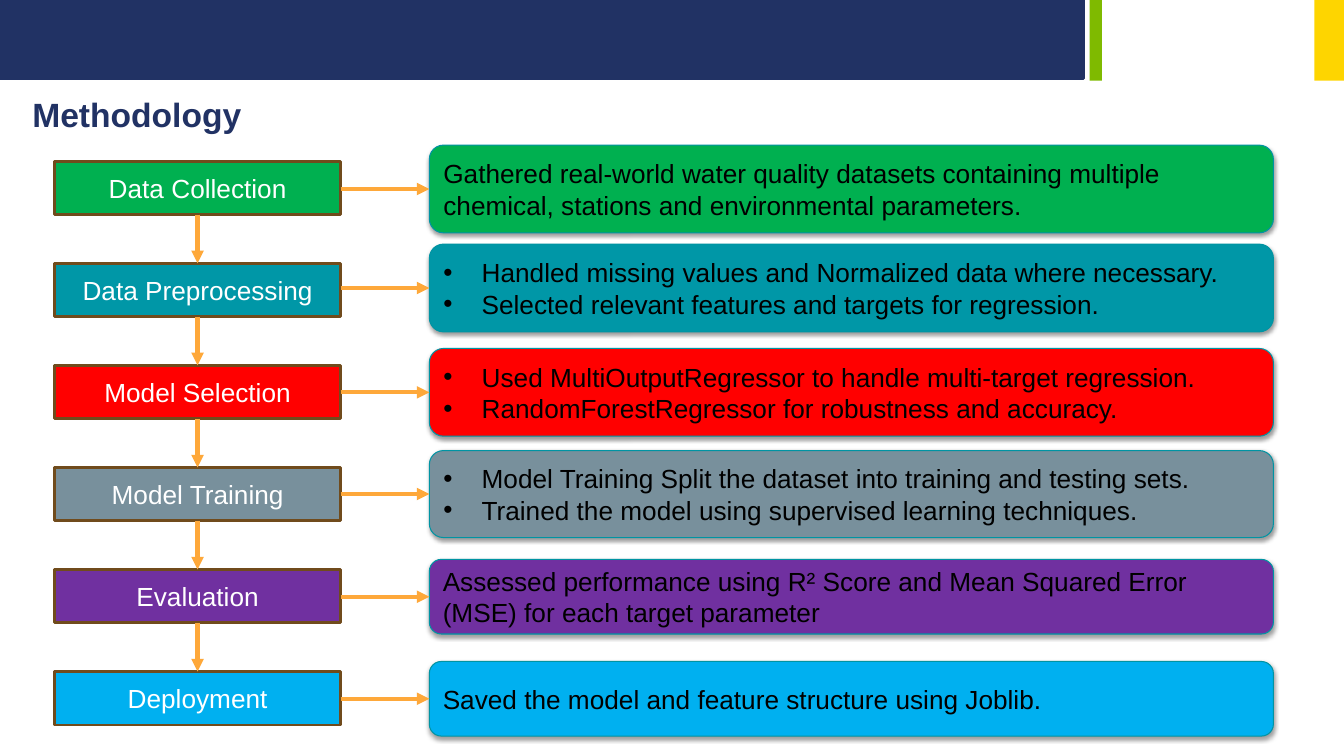
from lxml import etree
from pptx import Presentation, util as u
from pptx.dml.color import RGBColor
from pptx.enum import shapes, text
from pptx.oxml.ns import qn

FORM = shapes.MSO_SHAPE
ALIGN = text.PP_ALIGN
ANCHOR = text.MSO_ANCHOR
NAVY, LIME, GOLD = "213264", "7FBA00", "FED500"
BROWN, TEAL, AMBER = "704B1C", "0094A3", "FEA83A"

# step, colour, detail top, detail height, detail lines
STEPS = [
    ("Data Collection", "00B050", 19.2, 11.6, [
        "Gathered real-world water quality datasets containing multiple "
        "chemical, stations and environmental parameters."]),
    ("Data Preprocessing", "0097A7", 32.3, 11.6, [
        "Handled missing values and Normalized data where necessary.",
        "Selected relevant features and targets for regression."]),
    ("Model Selection", "FF0000", 46.1, 11.6, [
        "Used MultiOutputRegressor to handle multi-target regression.",
        "RandomForestRegressor for robustness and accuracy."]),
    ("Model Training", "78909C", 59.6, 11.5, [
        "Model Training Split the dataset into training and testing sets.",
        "Trained the model using supervised learning techniques."]),
    ("Evaluation", "7030A0", 74, 9.87, [
        "Assessed performance using R² Score and Mean Squared Error "
        "(MSE) for each target parameter"]),
    ("Deployment", "00B0F0", 87.5, 9.87, [
        "Saved the model and feature structure using Joblib."]),
]


def rgb(code):
    return RGBColor.from_string(code)


def add(parent, tag, **attrs):
    return etree.SubElement(parent, qn(tag), attrs)


def write(shape, lines, size=18.7, color="000000", bold=False,
          align=ALIGN.LEFT, anchor=ANCHOR.MIDDLE, bullet=False):
    frame = shape.text_frame
    frame.word_wrap = True
    frame.auto_size = text.MSO_AUTO_SIZE.NONE
    frame.vertical_anchor = anchor
    frame.text = "\n".join(lines)
    for para in frame.paragraphs:
        para.alignment = align
        font = para.runs[0].font
        font.name, font.size, font.bold = "Arial", u.Pt(size), bold
        font.color.rgb = rgb(color)
        if bullet:
            props = para._p.get_or_add_pPr()
            indent = u.Inches(0.38)
            props.set("marL", str(indent))
            props.set("indent", str(-indent))
            tint = add(props, "a:buClr")
            add(tint, "a:srgbClr", val=color)
            add(props, "a:buFont", typeface="Arial")
            add(props, "a:buChar", char="•")


class Deck:
    """Holds the slide; all lengths are percentages of its size."""

    def __init__(self):
        self.prs = Presentation()
        self.prs.slide_width = u.Inches(13.333)
        self.prs.slide_height = u.Inches(7.5)
        self.slide = self.prs.slides.add_slide(self.prs.slide_layouts[5])

    def x(self, share):
        return round(self.prs.slide_width * share / 100)

    def y(self, share):
        return round(self.prs.slide_height * share / 100)

    def area(self, left, top, width, height):
        return self.x(left), self.y(top), self.x(width), self.y(height)

    def title(self, words, *area):
        head = self.slide.shapes.title
        head.left, head.top, head.width, head.height = self.area(*area)
        write(head, [words], size=24, color=NAVY, bold=True,
              anchor=ANCHOR.TOP)

    def box(self, *area, fill, line=None, weight=2, form=FORM.RECTANGLE):
        shape = self.slide.shapes.add_shape(form, *self.area(*area))
        shape.shadow.inherit = False
        shape.fill.solid()
        shape.fill.fore_color.rgb = rgb(fill)
        if line:
            shape.line.color.rgb = rgb(line)
            shape.line.width = u.Pt(weight)
        else:
            shape.line.fill.background()
        return shape

    def card(self, *area, fill):
        """Rounded box with a soft shadow below it."""
        shape = self.box(*area, fill=fill, line=TEAL, weight=0.75,
                         form=FORM.ROUNDED_RECTANGLE)
        shape.adjustments[0] = 0.16
        effect = shape._element.spPr.find(qn("a:effectLst"))
        shade = add(effect, "a:outerShdw", blurRad=str(u.Pt(3.1)),
                    dist=str(u.Pt(1.6)), dir="5400000", rotWithShape="0")
        tint = add(shade, "a:srgbClr", val="000000")
        add(tint, "a:alpha", val="38000")
        return shape

    def arrow(self, x1, y1, x2, y2):
        link = self.slide.shapes.add_connector(
            shapes.MSO_CONNECTOR.STRAIGHT,
            self.x(x1), self.y(y1), self.x(x2), self.y(y2))
        link.line.color.rgb = rgb(AMBER)
        link.line.width = u.Pt(3)
        props = link._element.spPr
        add(props.find(qn("a:ln")), "a:tailEnd", type="triangle")
        add(props, "a:effectLst")


def main():
    deck = Deck()
    deck.box(0, 0, 80.63, 10.4, fill=NAVY, line=NAVY)
    deck.box(81.08, 0, 0.9, 10.67, fill=LIME)
    deck.box(97.8, 0, 2.2, 10.67, fill=GOLD)
    deck.title("Methodology", 1.65, 11.73, 50, 6.67)

    left, width, first, pitch, height = 4.05, 21.3, 21.33, 13.5, 7.07
    right, mid, card = left + width, left + width / 2, 31.95
    for i, (name, color, top, tall, lines) in enumerate(STEPS):
        row = first + i * pitch
        step = deck.box(left, row, width, height, fill=color, line=BROWN)
        write(step, [name], color="FFFFFF", align=ALIGN.CENTER)
        if i:
            deck.arrow(mid, row - pitch + height, mid, row)
        detail = deck.card(card, top, 62.8, tall, fill=color)
        write(detail, lines, bullet=len(lines) > 1)
        center = top + tall / 2
        deck.arrow(right, center, card, center)
    deck.prs.save("out.pptx")


if __name__ == "__main__":
    main()
